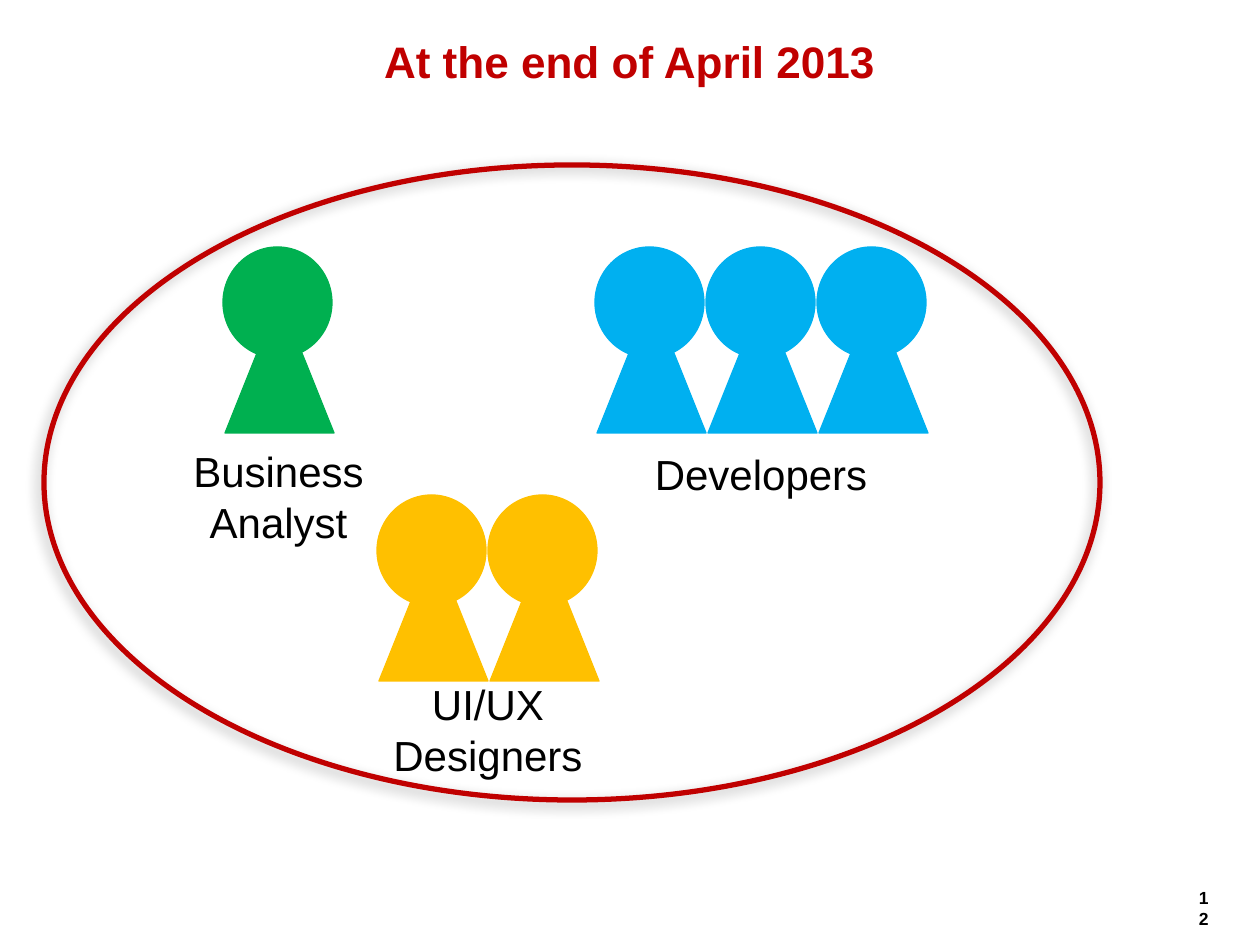
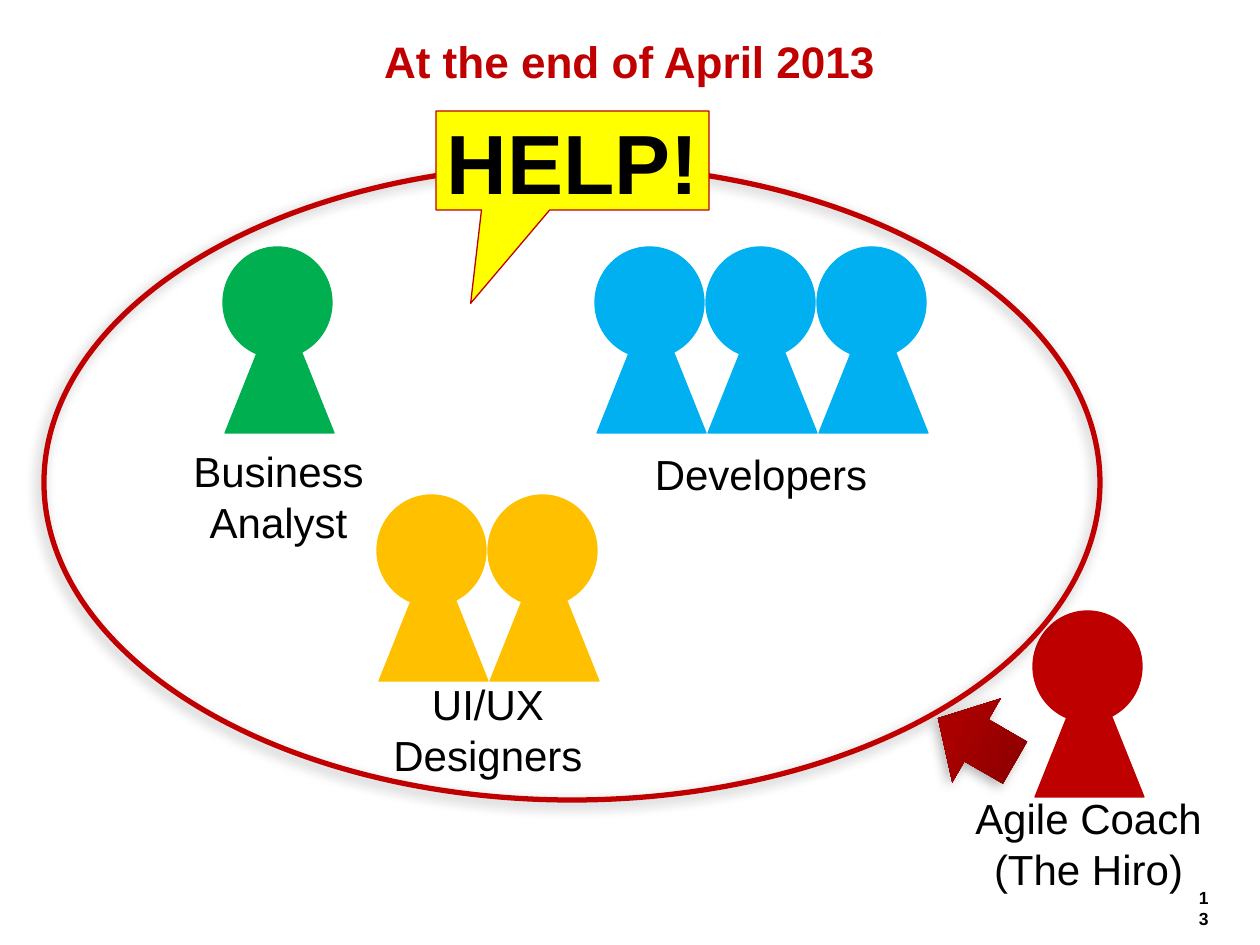
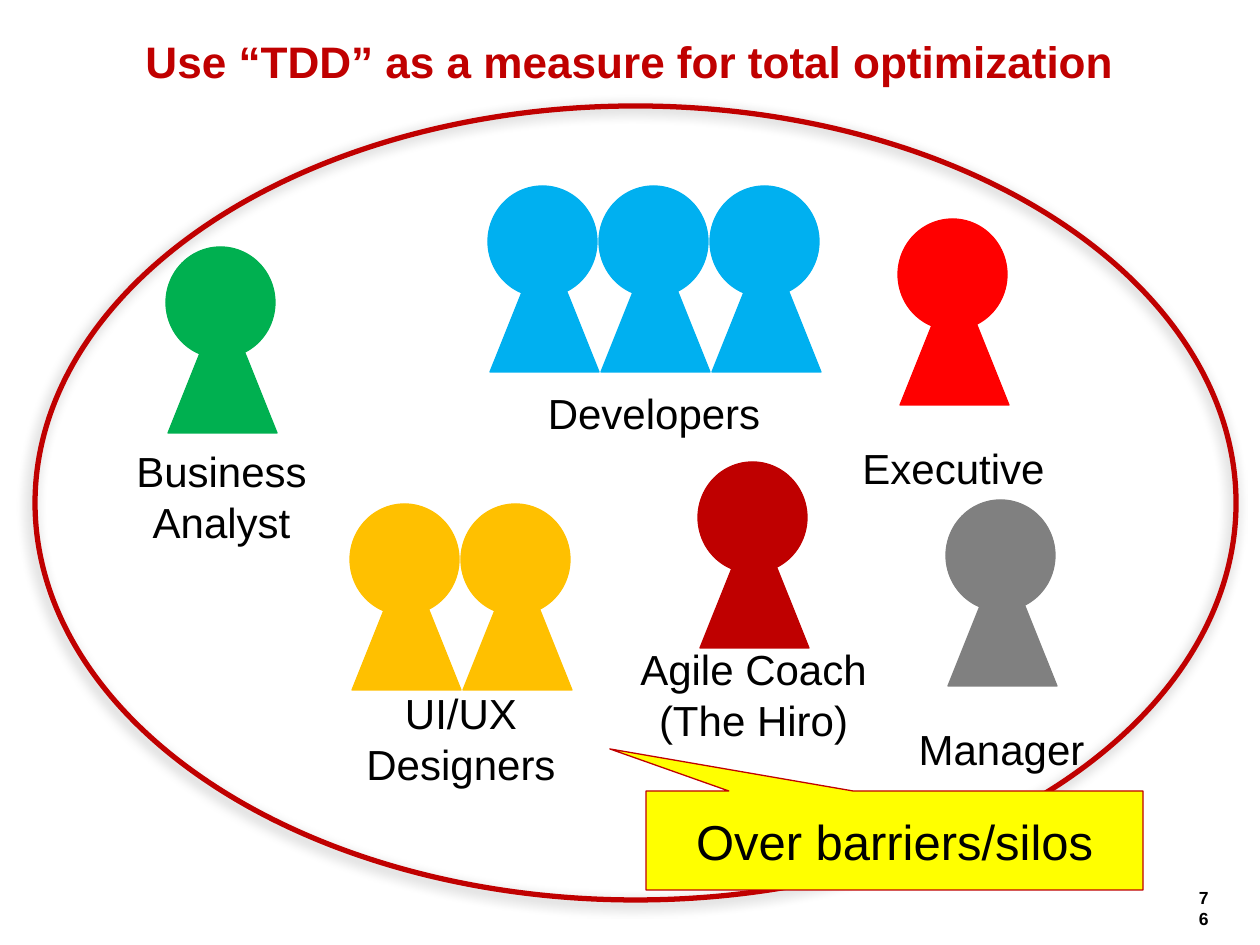
from lxml import etree
from pptx import Presentation
from pptx.dml.color import RGBColor
from pptx.enum import shapes, text
from pptx.oxml import parse_xml
from pptx.oxml.ns import nsdecls
from pptx.util import Pt

PX = 914400 / 126
FONT = "Arial"
BLACK = RGBColor(0x00, 0x00, 0x00)
CRIMSON = RGBColor(0xC0, 0x00, 0x00)
BRICK = RGBColor(0xBF, 0x00, 0x00)
MAROON = RGBColor(0x82, 0x00, 0x00)
GREEN = RGBColor(0x00, 0xB0, 0x50)
AMBER = RGBColor(0xFF, 0xC0, 0x00)
BLUE = RGBColor(0x00, 0xB0, 0xF0)
RED = RGBColor(0xFF, 0x00, 0x00)
GREY = RGBColor(0x80, 0x80, 0x80)
YELLOW = RGBColor(0xFF, 0xFF, 0x00)

KIND = shapes.MSO_SHAPE
ALIGN = text.PP_ALIGN
HEAD_W, HEAD_H = 109, 111
BODY_W, BODY_H = 109, 136
BODY_X, BODY_Y = 2, 50
PITCH = 111

SHADOW = f"""<a:effectLst {nsdecls("a")}>
<a:outerShdw blurRad="88900" dist="38100" dir="8100000" rotWithShape="0">
<a:srgbClr val="000000"><a:alpha val="30000"/></a:srgbClr>
</a:outerShdw></a:effectLst>"""

ROLES = {
    "analyst": (GREEN, 1, ["Business", "Analyst"], 209, 207),
    "coach": (BRICK, 1, ["Agile Coach", "(The Hiro)"], 335, 190),
    "design": (AMBER, 2, ["UI/UX", "Designers"], 266, 192),
    "dev": (BLUE, 3, ["Developers"], 248, 185),
    "exec": (RED, 1, ["Executive"], 209, 207),
    "boss": (GREY, 1, ["Manager"], 209, 207),
}

APRIL = "At the end of April 2013"
TEAM = [("analyst", 223, 247), ("design", 377, 495), ("dev", 595, 247)]
RING = (44, 165, 1056, 635)

SLIDES = [
    (APRIL, "12", TEAM, RING, None),
    (APRIL, "13", TEAM + [("coach", 1033, 611)], RING,
     ("HELP!", (436, 111, 273, 99), (-0.373, 1.443), 48, True)),
    ("Use “TDD” as a measure for total optimization", "76",
     [("analyst", 166, 247), ("exec", 898, 219), ("boss", 946, 500),
      ("coach", 698, 462), ("design", 350, 504), ("dev", 488, 186)],
     (35, 106, 1201, 794),
     ("Over barriers/silos", (646, 791, 497, 99), (-0.573, -0.925), 28, False)),
]


def draw(slide, kind, box, fill=None, line=None, width=0.75, shade=False):
    item = slide.shapes.add_shape(kind, *[int(n * PX) for n in box])
    item.shadow.inherit = False
    if fill is None:
        item.fill.background()
    else:
        item.fill.solid()
        item.fill.fore_color.rgb = fill
    if line is None:
        item.line.fill.background()
    else:
        item.line.color.rgb = line
        item.line.width = Pt(width)
    if shade:
        props = item.element.spPr
        old = props.find("{*}effectLst")
        props.replace(old, parse_xml(SHADOW))
    return item


def write(slide, lines, size, box=None, item=None, bold=False, color=BLACK,
          align=ALIGN.CENTER, anchor=text.MSO_ANCHOR.MIDDLE, wrap=True):
    item = item or slide.shapes.add_textbox(*[int(n * PX) for n in box])
    frame = item.text_frame
    frame.word_wrap = wrap
    frame.vertical_anchor = anchor
    for i, line in enumerate(lines):
        para = frame.add_paragraph() if i else frame.paragraphs[0]
        para.alignment = align
        run = para.add_run()
        run.text = line
        run.font.name = FONT
        run.font.size = Pt(size)
        run.font.bold = bold
        run.font.color.rgb = color


deck = Presentation()
deck.slide_width = int(1260 * PX)
deck.slide_height = int(945 * PX)

for title, page, people, ring, call in SLIDES:
    slide = deck.slides.add_slide(deck.slide_layouts[6])
    write(slide, [page], 10, (1186, 881, 35, 34), bold=True,
          align=ALIGN.RIGHT, anchor=text.MSO_ANCHOR.TOP)
    write(slide, [title], 25.2, (49, 36, 1161, 49), bold=True, color=CRIMSON)

    for role, left, top in people:
        color, count, label, wide, drop = ROLES[role]
        for i in range(count):
            x = left + i * PITCH
            draw(slide, KIND.ISOSCELES_TRIANGLE,
                 (x + BODY_X, top + BODY_Y, BODY_W, BODY_H), color, color)
            draw(slide, KIND.OVAL, (x, top, HEAD_W, HEAD_H), color, color)
        mid = left + 1 + (HEAD_W + (count - 1) * PITCH) // 2
        write(slide, label, 24, (mid - wide // 2, top + drop, wide, 84))

    if page == "13":
        arrow = draw(slide, KIND.LEFT_ARROW, (932, 692, 89, 97), BRICK, shade=True)
        arrow.rotation = 30
        arrow.fill.gradient()
        arrow.fill.gradient_angle = 180
        for stop, color, place in zip(arrow.fill.gradient_stops, (MAROON, BRICK), (0, 1)):
            stop.color.rgb = color
            stop.position = place

    draw(slide, KIND.OVAL, ring, line=CRIMSON, width=3, shade=True)

    if call:
        words, box, tip, size, bold = call
        bubble = draw(slide, KIND.RECTANGULAR_CALLOUT, box, YELLOW, CRIMSON)
        bubble.adjustments[0], bubble.adjustments[1] = tip
        write(slide, [words], size, item=bubble, bold=bold, wrap=False)

deck.save("out.pptx")
